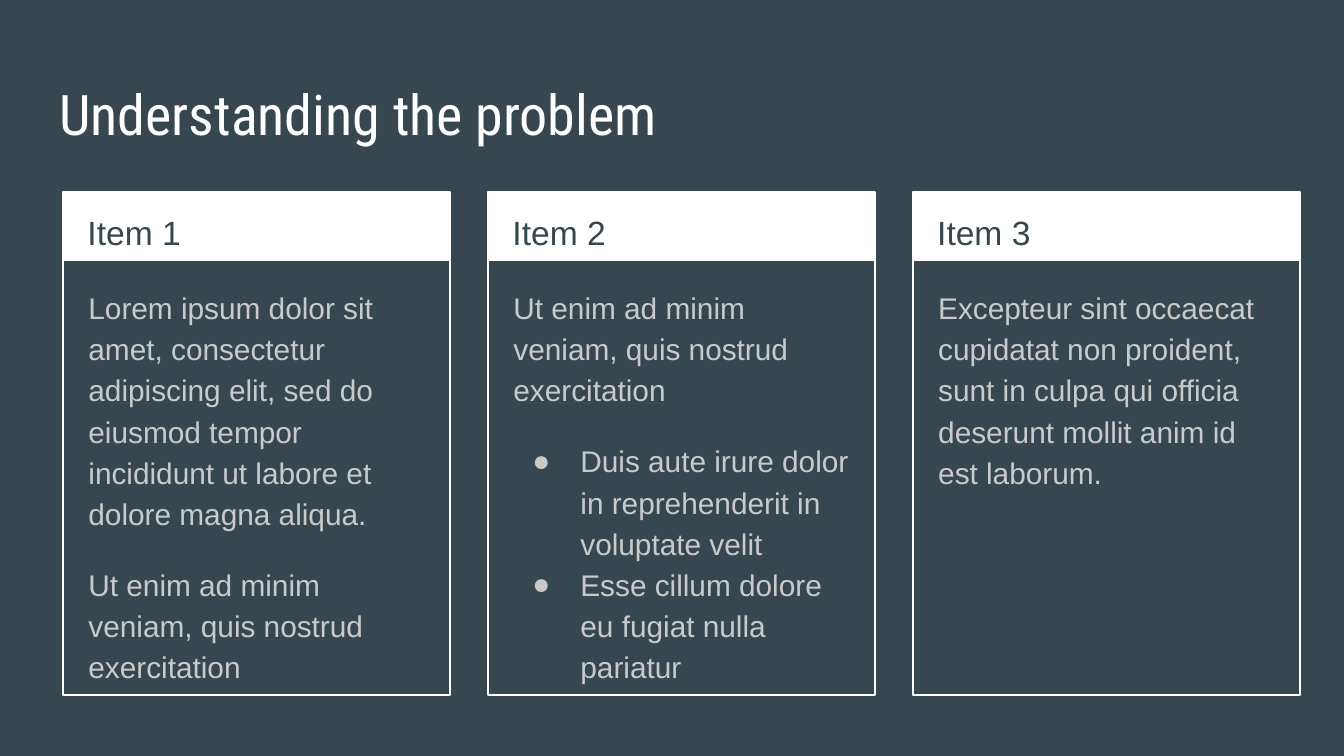
"""Build the slide "Understanding the problem" with three item cards."""
import dataclasses
import typing

import lxml.etree
import pptx
import pptx.dml.color
import pptx.enum.shapes
import pptx.enum.text
import pptx.oxml.ns
import pptx.util

SLATE = pptx.dml.color.RGBColor(0x37, 0x47, 0x4F)
WHITE = pptx.dml.color.RGBColor(0xFF, 0xFF, 0xFF)
GREY = pptx.dml.color.RGBColor(0xCA, 0xCA, 0xCA)

WIDTH, HEIGHT = 1344, 756
SCALE = 9144000 / WIDTH
CARD_LEFT, CARD_TOP, CARD_PITCH = 63, 192, 425
CARD_WIDTH, CARD_HEIGHT, BAND_HEIGHT = 387, 503, 69


@dataclasses.dataclass(frozen=True)
class Style:
    size: int
    color: pptx.dml.color.RGBColor
    font: str = "Arial"
    spacing: float = 1.15


@dataclasses.dataclass(frozen=True)
class Para:
    text: str
    before: int = 0
    after: int = 0
    bullet: bool = False


@dataclasses.dataclass(frozen=True)
class Card:
    heading: str
    paras: tuple[Para, ...]


TITLE = Style(30, WHITE, "Roboto Condensed", 1.0)
HEADING = Style(18, SLATE)
BODY = Style(16, GREY)

CARDS = (
    Card("Item 1", (
        Para("Lorem ipsum dolor sit amet, consectetur adipiscing elit, sed do eiusmod "
             "tempor incididunt ut labore et dolore magna aliqua."),
        Para("Ut enim ad minim veniam, quis nostrud exercitation", before=16, after=16),
    )),
    Card("Item 2", (
        Para("Ut enim ad minim veniam, quis nostrud exercitation"),
        Para("Duis aute irure dolor in reprehenderit in voluptate velit", before=16, bullet=True),
        Para("Esse cillum dolore eu fugiat nulla pariatur", bullet=True),
    )),
    Card("Item 3", (
        Para("Excepteur sint occaecat cupidatat non proident, sunt in culpa qui officia "
             "deserunt mollit anim id est laborum.", after=16),
    )),
)


def px(n: int) -> pptx.util.Emu:
    """Turn px into EMU."""
    return pptx.util.Emu(round(n * SCALE))


def apply(target: typing.Any, values: dict[str, typing.Any]) -> None:
    """Set each named attribute on the target."""
    for name, value in values.items():
        setattr(target, name, value)


def set_bullet(p: typing.Any, bullet: bool) -> None:
    """Give the paragraph a round bullet with a hanging indent, or neither."""
    pPr = p._p.get_or_add_pPr()
    pPr.set("marL", str(px(67 if bullet else 0)))
    pPr.set("indent", str(px(-48 if bullet else 0)))
    qn = pptx.oxml.ns.qn
    if bullet:
        clr = lxml.etree.SubElement(pPr, qn("a:buClr"))
        lxml.etree.SubElement(clr, qn("a:srgbClr")).set("val", str(GREY))
        lxml.etree.SubElement(pPr, qn("a:buFont")).set("typeface", "Arial")
        lxml.etree.SubElement(pPr, qn("a:buChar")).set("char", "●")
    else:
        lxml.etree.SubElement(pPr, qn("a:buNone"))


def write(sp: typing.Any, box: tuple[int, int, int, int], paras: tuple[Para, ...],
          style: Style) -> None:
    """Place a text shape in front and fill it with formatted paragraphs."""
    apply(sp, dict(zip(("left", "top", "width", "height"), map(px, box))))
    sp.element.getparent().append(sp.element)
    tf = sp.text_frame
    inset = pptx.util.Inches(0.1)
    apply(tf, {
        "word_wrap": True,
        "auto_size": pptx.enum.text.MSO_AUTO_SIZE.NONE,
        "vertical_anchor": pptx.enum.text.MSO_ANCHOR.TOP,
        "margin_left": inset, "margin_right": inset,
        "margin_top": inset, "margin_bottom": inset,
    })
    for i, para in enumerate(paras):
        p = tf.add_paragraph() if i else tf.paragraphs[0]
        set_bullet(p, para.bullet)
        apply(p, {
            "alignment": pptx.enum.text.PP_ALIGN.LEFT,
            "line_spacing": style.spacing,
            "space_before": pptx.util.Pt(para.before),
            "space_after": pptx.util.Pt(para.after),
        })
        r = p.add_run()
        r.text = para.text
        apply(r.font, {"name": style.font, "size": pptx.util.Pt(style.size), "bold": False})
        r.font.color.rgb = style.color


def add_rect(shapes: typing.Any, left: int, height: int, filled: bool) -> None:
    """Add a white band or a white outline at the top of a card."""
    sp = shapes.add_shape(pptx.enum.shapes.MSO_SHAPE.RECTANGLE, px(left), px(CARD_TOP),
                          px(CARD_WIDTH), px(height))
    sp.shadow.inherit = False
    if filled:
        sp.fill.solid()
        sp.fill.fore_color.rgb = WHITE
        sp.line.fill.background()
    else:
        sp.fill.background()
        sp.line.color.rgb = WHITE
        sp.line.width = pptx.util.Pt(0.75)


def add_card(s: typing.Any, left: int, card: Card, heading: typing.Any, body: typing.Any) -> None:
    """Draw one card and write its heading and body."""
    group = s.shapes.add_group_shape()
    add_rect(group.shapes, left, BAND_HEIGHT, True)
    add_rect(group.shapes, left, CARD_HEIGHT, False)
    write(heading, (left + 11, CARD_TOP, 367, 67), (Para(card.heading),), HEADING)
    write(body, (left + 12, 271, 364, 411), card.paras, BODY)


def main() -> None:
    """Build and save the slide."""
    prs = pptx.Presentation()
    prs.slide_width, prs.slide_height = px(WIDTH), px(HEIGHT)
    s = prs.slides.add_slide(prs.slide_layouts.get_by_name("Comparison"))
    s.background.fill.solid()
    s.background.fill.fore_color.rgb = SLATE
    title, *texts = s.placeholders
    texts += [s.shapes.add_textbox(0, 0, 0, 0) for _ in range(2 * len(CARDS) - len(texts))]
    write(title, (46, 66, 1253, 85), (Para("Understanding the problem"),), TITLE)
    for i, card in enumerate(CARDS):
        add_card(s, CARD_LEFT + i * CARD_PITCH, card, texts[2 * i], texts[2 * i + 1])
    prs.save("out.pptx")


if __name__ == "__main__":
    main()
